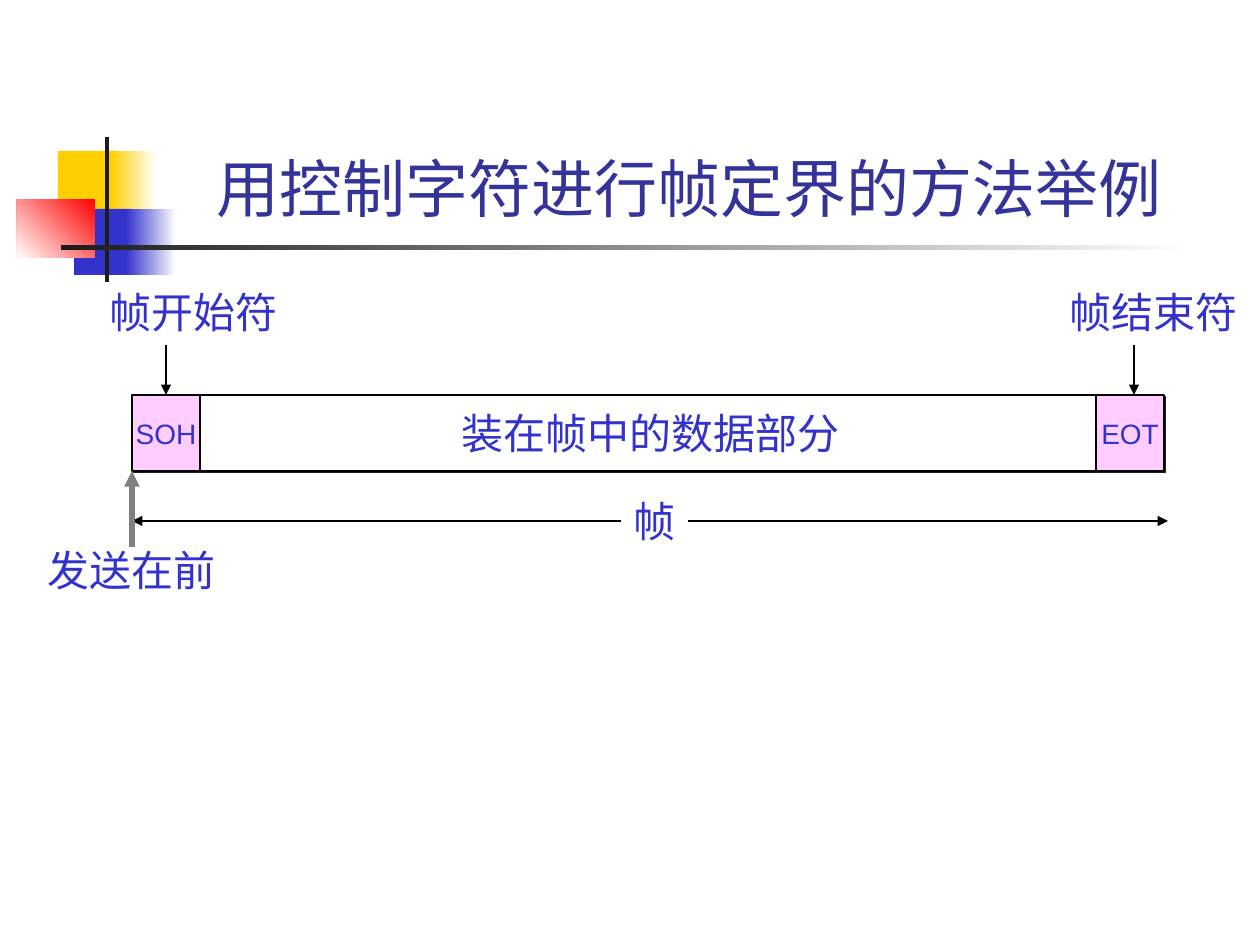
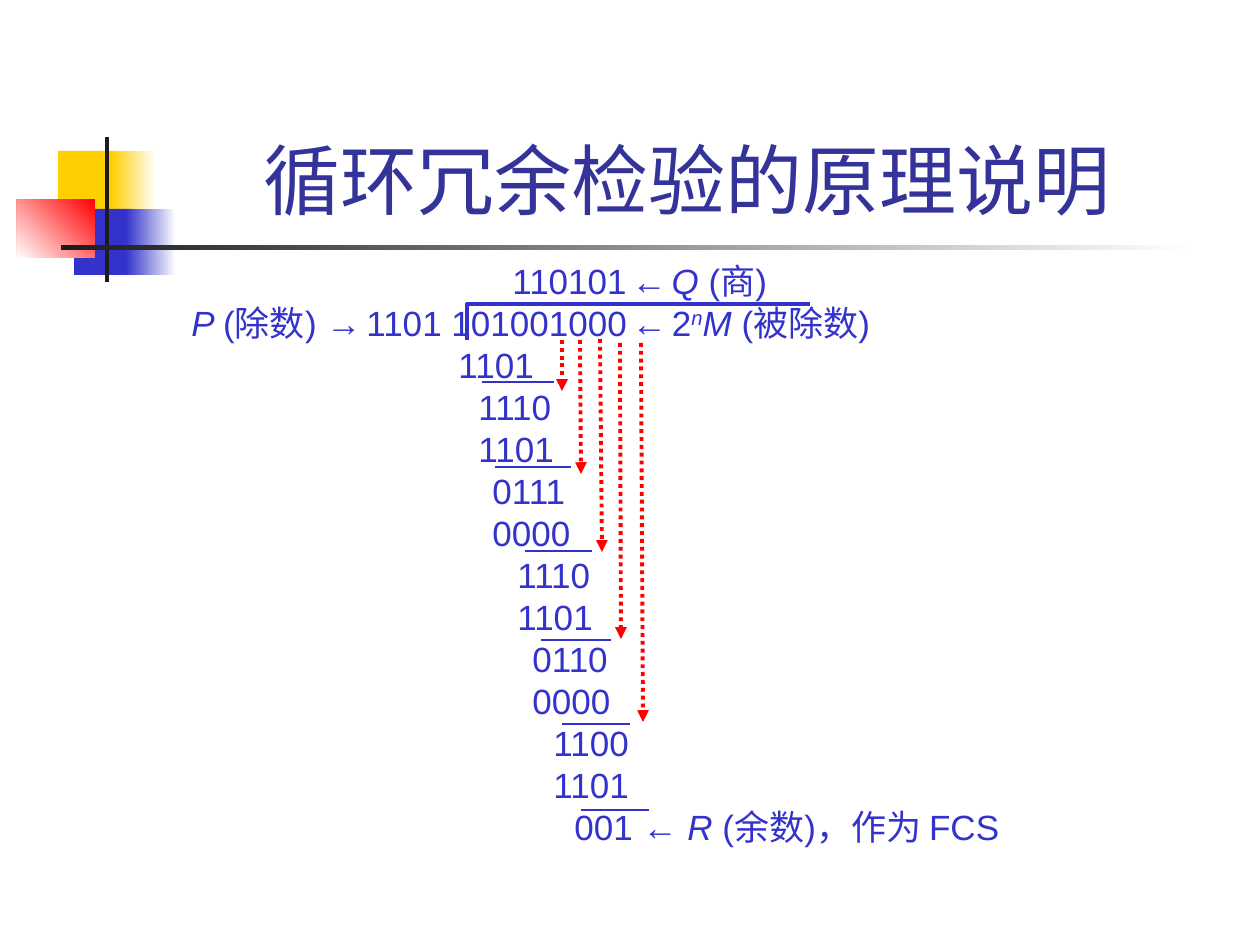
"""Build two slides: frame delimiting with control characters, and a CRC long division."""
from dataclasses import dataclass

from lxml import etree
from pptx import Presentation
from pptx.dml.color import RGBColor
from pptx.enum.dml import MSO_LINE
from pptx.enum.shapes import MSO_CONNECTOR, MSO_SHAPE
from pptx.enum.text import MSO_ANCHOR, PP_ALIGN
from pptx.oxml.ns import qn
from pptx.util import Pt

PX = 914400 / 126


@dataclass(frozen=True)
class Theme:
    """Colours, font and type sizes."""
    font: str = "Arial"
    title: str = "333399"
    blue: str = "3333CC"
    yellow: str = "FFCF01"
    red: str = "FF0000"
    pink: str = "FFCCFF"
    grey: str = "808080"
    dark: str = "1C1C1C"
    black: str = "000000"
    white: str = "FFFFFF"
    label_size: int = 24
    code_size: int = 16
    digit_size: int = 20
    gap_size: int = 10
    row_pitch: int = 24


T = Theme()

TITLE_BOX = (159, 29, 1074, 202)
DECOR = [
    ((58, 151, 60, 66), T.yellow, None),
    ((111, 151, 45, 66), T.yellow, 0),
    ((74, 209, 58, 66), T.blue, None),
    ((126, 209, 50, 66), T.blue, 0),
    ((17, 199, 78, 59), T.red, 225),
    ((105, 137, 4, 145), T.dark, None),
    ((61, 245, 1134, 5), T.dark, 0),
]

FRAME_TITLE = ("用控制字符进行帧定界的方法举例 ", 36)
FRAME_TOP, FRAME_HEIGHT = 395, 76
FRAME_FIELDS = [
    ("SOH", 132, 68, T.pink, T.code_size),
    ("装在帧中的数据部分", 200, 900, T.white, T.label_size),
    ("EOT", 1096, 68, T.pink, T.code_size),
]
FRAME_LABELS = [("帧开始符", 97, 280), ("帧结束符", 1057, 280), ("发送在前", 35, 538)]
FRAME_SPAN = ("帧", (621, 489, 67, 63))

CRC_TITLE = ("循环冗余检验的原理说明 ", 44)
ITALIC = {"italic": True}
GAP = (" ", {"size": T.gap_size})
DIVISION = [
    (360, ["110101", GAP, "←", GAP, ("Q ", ITALIC), "(商)"]),
    (39, [("P ", ITALIC), "(除数) ", ("→", {"bold": True}), GAP, "1101 101001000", GAP,
          "←", GAP, "2", ("n", {"italic": True, "raised": True}), ("M ", ITALIC),
          "(被除数)"]),
    (306, ["1101"]),
    (326, ["1110"]),
    (326, ["1101"]),
    (340, ["0111"]),
    (340, ["0000"]),
    (365, ["1110"]),
    (365, ["1101"]),
    (380, ["0110"]),
    (380, ["0000"]),
    (401, ["1100"]),
    (401, ["1101"]),
    (422, ["001 ← ", ("R", ITALIC), " (余数)，作为 FCS"]),
]
DIVISION_BOX = (140, 253, 1116, 601)
BRACKET = [(467, 340), (467, 304), (810, 304)]
SUBTRACT_LINES = [(482, 554, 382), (495, 571, 467), (525, 592, 551),
                  (541, 611, 640), (562, 630, 724), (581, 649, 810)]
BRING_DOWN = [(562, 340, 562, 391), (580, 340, 581, 474), (600, 339, 602, 552),
              (620, 343, 621, 639), (641, 343, 643, 722)]


def emu(*lengths):
    """Turn px into EMU."""
    return [round(v * PX) for v in lengths]


def rgb(colour):
    """Turn a hex string into a colour."""
    return RGBColor.from_string(colour)


def write(p, text, size=T.label_size, colour=T.blue, bold=False, italic=False, raised=False):
    """Add a formatted run to a paragraph."""
    r = p.add_run()
    r.text = text
    r.font.name, r.font.size = T.font, Pt(size)
    r.font.bold, r.font.italic = bold, italic
    r.font.color.rgb = rgb(colour)
    if raised:
        r.font._element.set("baseline", "30000")


def add_effects(sp, shadow=False):
    """Give a shape or connector its own effect list."""
    effects = etree.SubElement(sp._element.spPr, qn("a:effectLst"))
    if shadow:
        outer = etree.SubElement(effects, qn("a:outerShdw"), dist="17780", dir="2700000",
                                 algn="ctr", rotWithShape="0")
        etree.SubElement(outer, qn("a:srgbClr"), val=T.dark)


def add_box(s, box, fill, fade=None, outline=False):
    """Add a rectangle, plain or fading to white at an angle."""
    sp = s.shapes.add_shape(MSO_SHAPE.RECTANGLE, *emu(*box))
    if fade is None:
        sp.fill.solid()
        sp.fill.fore_color.rgb = rgb(fill)
    else:
        sp.fill.gradient()
        sp.fill.gradient_angle = fade
        for stop, colour in zip(sp.fill.gradient_stops, (fill, T.white)):
            stop.color.rgb = rgb(colour)
    if outline:
        sp.line.color.rgb = rgb(T.black)
        sp.line.width = Pt(0.75)
    else:
        sp.line.fill.background()
    add_effects(sp, shadow=outline)
    return sp


def add_line(s, ends, colour=T.black, width=0.75, head=False, tail=False, dash=None):
    """Add a straight connector with optional arrowheads."""
    cx = s.shapes.add_connector(MSO_CONNECTOR.STRAIGHT, *emu(*ends))
    cx.line.color.rgb = rgb(colour)
    cx.line.width = Pt(width)
    if dash:
        cx.line.dash_style = dash
    ln = cx.line._get_or_add_ln()
    for tag, wanted in (("a:headEnd", head), ("a:tailEnd", tail)):
        if wanted:
            etree.SubElement(ln, qn(tag), type="triangle")
    add_effects(cx)
    return cx


def add_label(s, text, x, y):
    """Add a one-line text box."""
    tf = s.shapes.add_textbox(*emu(x, y, 193, 63)).text_frame
    tf.word_wrap = False
    write(tf.paragraphs[0], text)


def add_titled_slide(prs, text, size):
    """Add a slide with the shared decoration and title style."""
    s = prs.slides.add_slide(prs.slide_layouts[5])
    for box, fill, fade in DECOR:
        add_box(s, box, fill, fade)
    title = s.shapes.title
    title.left, title.top, title.width, title.height = emu(*TITLE_BOX)
    tf = title.text_frame
    tf.vertical_anchor = MSO_ANCHOR.BOTTOM
    p = tf.paragraphs[0]
    p.alignment = PP_ALIGN.CENTER
    write(p, text, size=size, colour=T.title)
    return s


def build_frame_slide(prs):
    """Draw the frame with its start and end characters."""
    s = add_titled_slide(prs, *FRAME_TITLE)
    bottom = FRAME_TOP + FRAME_HEIGHT
    fields = {}
    for text, x, width, fill, size in FRAME_FIELDS:
        sp = add_box(s, (x, FRAME_TOP, width, FRAME_HEIGHT), fill, outline=True)
        tf = sp.text_frame
        tf.word_wrap = False
        tf.vertical_anchor = MSO_ANCHOR.MIDDLE
        tf.paragraphs[0].alignment = PP_ALIGN.CENTER
        write(tf.paragraphs[0], text, size=size)
        fields[text] = sp
    add_line(s, (132, 521, 1168, 521), head=True, tail=True)
    text, box = FRAME_SPAN
    tf = add_box(s, box, T.white).text_frame
    tf.word_wrap = False
    tf.vertical_anchor = MSO_ANCHOR.TOP
    tf.paragraphs[0].alignment = PP_ALIGN.LEFT
    write(tf.paragraphs[0], text)
    for label in FRAME_LABELS:
        add_label(s, *label)
    start = add_line(s, (166, 345, 166, FRAME_TOP), tail=True)
    start.end_connect(fields["SOH"], 0)
    add_line(s, (1134, 345, 1134, FRAME_TOP), tail=True)
    add_line(s, (132, 547, 132, bottom), colour=T.grey, width=3, tail=True)


def build_crc_slide(prs):
    """Set out the long division with its rules and arrows."""
    s = add_titled_slide(prs, *CRC_TITLE)
    tf = s.shapes.add_textbox(*emu(*DIVISION_BOX)).text_frame
    tf.word_wrap = True
    for i, (indent, runs) in enumerate(DIVISION):
        p = tf.add_paragraph() if i else tf.paragraphs[0]
        p.line_spacing = Pt(T.row_pitch)
        pPr = p._p.get_or_add_pPr()
        pPr.set("marL", str(emu(indent)[0]))
        pPr.set("indent", "0")
        for run in runs:
            text, style = (run, {}) if isinstance(run, str) else run
            write(p, text, **{"size": T.digit_size, **style})
    builder = s.shapes.build_freeform(*BRACKET[0], scale=PX)
    builder.add_line_segments(BRACKET[1:], close=False)
    bracket = builder.convert_to_shape()
    bracket.fill.background()
    bracket.line.color.rgb = rgb(T.blue)
    bracket.line.width = Pt(2.25)
    bracket.shadow.inherit = False
    for ends in BRING_DOWN:
        add_line(s, ends, colour=T.red, width=2.25, tail=True, dash=MSO_LINE.ROUND_DOT)
    for left, right, y in SUBTRACT_LINES:
        add_line(s, (left, y, right, y), colour=T.blue, width=1.5)


def main():
    """Build and save the presentation."""
    prs = Presentation()
    prs.slide_width, prs.slide_height = emu(1260, 945)
    build_frame_slide(prs)
    build_crc_slide(prs)
    prs.save("out.pptx")


if __name__ == "__main__":
    main()
